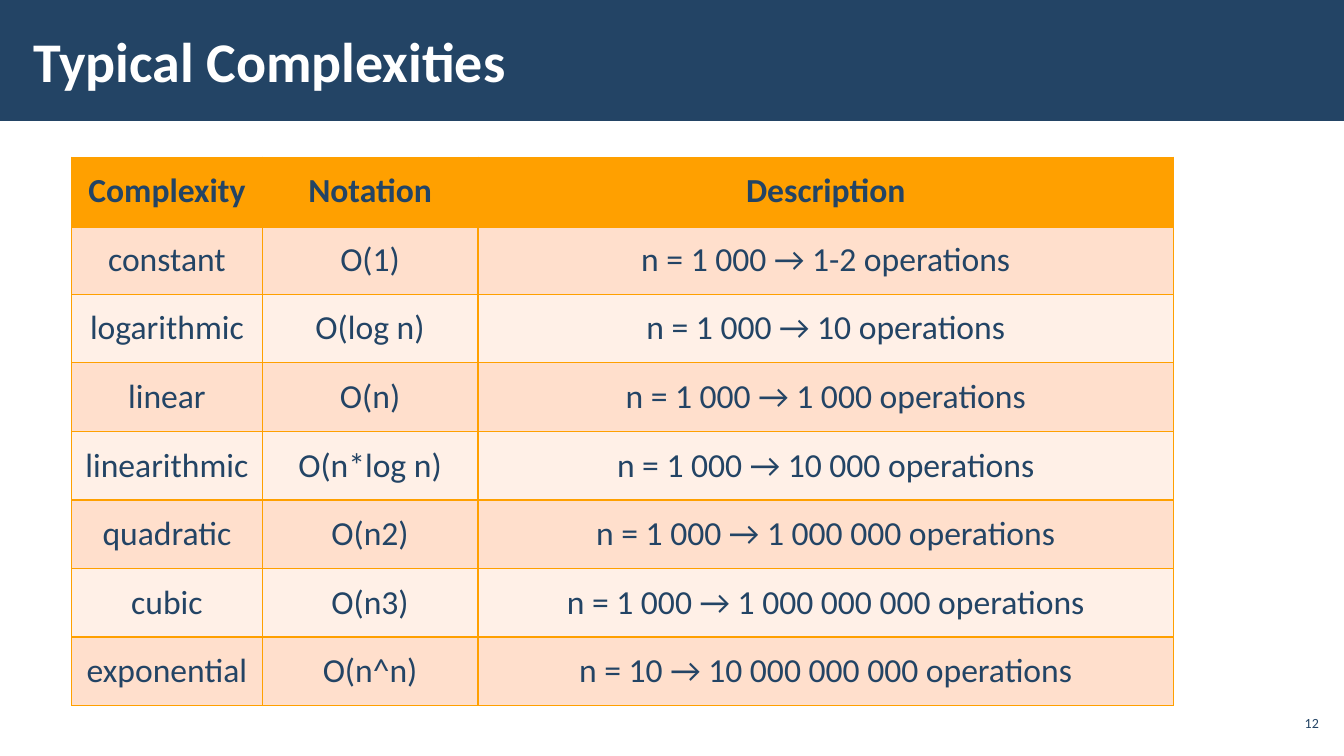
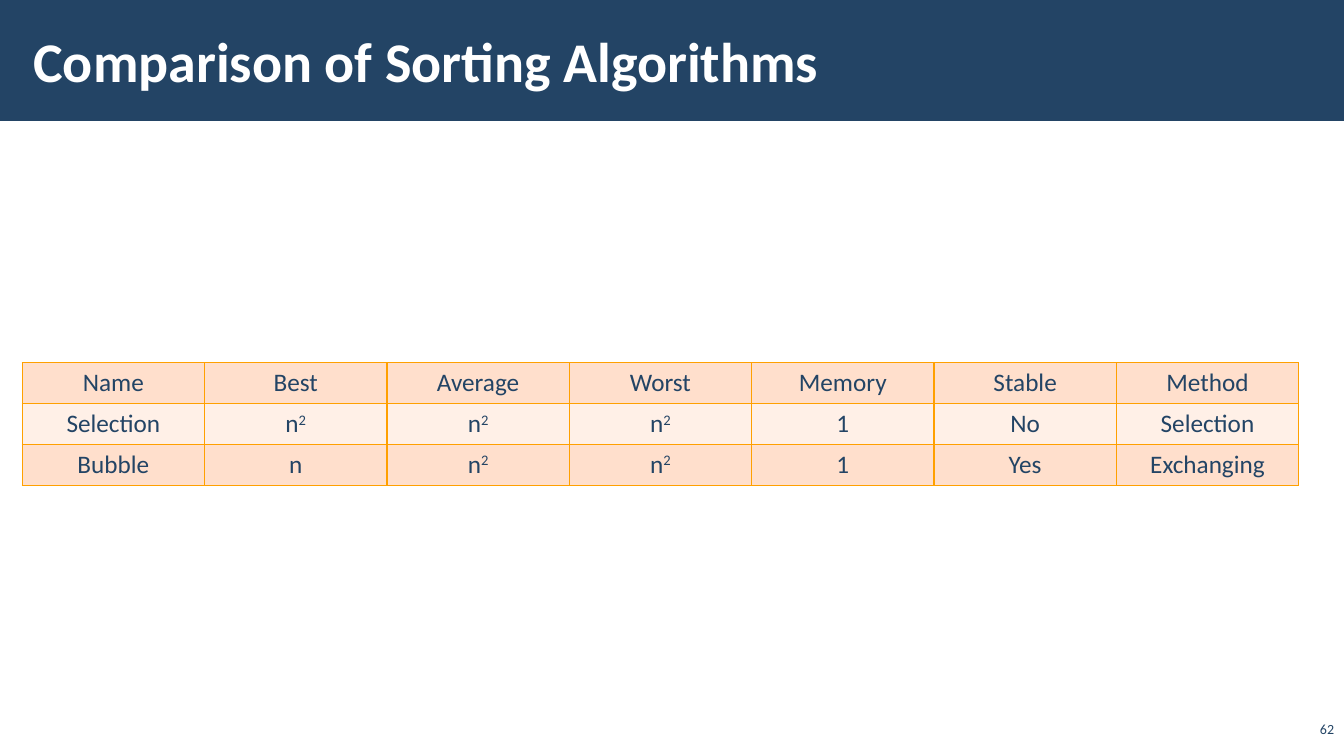
from lxml.etree import SubElement
from pptx import Presentation
from pptx.dml.color import RGBColor
from pptx.enum.shapes import MSO_SHAPE
from pptx.enum.text import MSO_ANCHOR, MSO_AUTO_SIZE, PP_ALIGN
from pptx.oxml.ns import qn
from pptx.util import Inches, Pt

WIDE, HIGH = Inches(13.33), Inches(7.5)
NAVY, WHITE, GOLD = "234465", "FFFFFF", "FFA000"
BANDS = ("FFDFCC", "FFF0E7")
SMALL = Inches(0.04)
TITLE = {"size": Pt(40), "bold": True}
PAGE = {"size": Pt(10)}
HEAD = {"size": Pt(24), "bold": True}
LARGE = {"size": Pt(24), "bold": False}
BODY = {"size": Pt(18), "bold": False}
COSTS = [
    ("Complexity", "Notation", "Description"),
    ("constant", "O(1)", "n = 1 000 → 1-2 operations"),
    ("logarithmic", "O(log n)", "n = 1 000 → 10 operations"),
    ("linear", "O(n)", "n = 1 000 → 1 000 operations"),
    ("linearithmic", "O(n*log n)", "n = 1 000 → 10 000 operations"),
    ("quadratic", "O(n2)", "n = 1 000 → 1 000 000 operations"),
    ("cubic", "O(n3)", "n = 1 000 → 1 000 000 000 operations"),
    ("exponential", "O(n^n)", "n = 10 → 10 000 000 000 operations"),
]
SORTS = [
    ("Name", "Best", "Average", "Worst", "Memory", "Stable", "Method"),
    ("Selection", "n²", "n²", "n²", "1", "No", "Selection"),
    ("Bubble", "n", "n²", "n²", "1", "Yes", "Exchanging"),
]


def tint(code):
    """Turn a hex string into a colour."""
    return RGBColor.from_string(code)


def span(left, top, width, height):
    """Turn percentages of the slide into a frame."""
    return (int(WIDE * left / 100), int(HIGH * top / 100),
            int(WIDE * width / 100), int(HIGH * height / 100))


def apply(item, form):
    """Set each attribute named in a dict."""
    for name, value in form.items():
        setattr(item, name, value)


def paint(item, code):
    """Give a shape or cell a solid fill."""
    item.fill.solid()
    item.fill.fore_color.rgb = tint(code)


def write(frame, text, form, code=NAVY, align=PP_ALIGN.CENTER):
    """Write one paragraph, raising a squared sign to a superscript."""
    para = frame.paragraphs[0]
    para.alignment = align
    base, mark, _ = text.partition("²")
    for part in (base, "2")[:1 + len(mark)]:
        run = para.add_run()
        run.text = part
        apply(run.font, {"name": "Calibri", **form})
        run.font.color.rgb = tint(code)
    if mark:
        run.font._element.set("baseline", "30000")


def edge(cell, base=1):
    """Draw gold borders, with a bottom line of its own width."""
    props = cell._tc.get_or_add_tcPr()
    for side, width in zip("LRTB", (1, 1, 1, base)):
        line = SubElement(props, qn("a:ln" + side), w=str(Pt(width)))
        fill = SubElement(line, qn("a:solidFill"))
        SubElement(fill, qn("a:srgbClr"), val=GOLD)


def style(deck):
    """Put the band and the title's place on the shared layout."""
    layout = deck.slide_layouts[5]
    apply(layout.placeholders[0], dict(
        zip(("left", "top", "width", "height"), span(1.58, 1.47, 79.74, 12.93))))
    return layout


def band(slide):
    """Draw the title band and move it to the slide's layout."""
    bar = slide.shapes.add_shape(MSO_SHAPE.RECTANGLE, *span(0, 0, 100, 16))
    bar.shadow.inherit = False
    bar.line.fill.background()
    paint(bar, NAVY)
    slide.slide_layout.shapes._spTree.insert(2, bar._element)


def start(deck, layout, title):
    """Add a slide with its title."""
    slide = deck.slides.add_slide(layout)
    frame = slide.shapes.title.text_frame
    apply(frame, {
        "margin_left": Inches(0.12), "margin_right": Inches(0.12),
        "margin_top": SMALL, "margin_bottom": SMALL, "word_wrap": True,
        "vertical_anchor": MSO_ANCHOR.MIDDLE, "auto_size": MSO_AUTO_SIZE.NONE})
    write(frame, title, TITLE, WHITE, PP_ALIGN.LEFT)
    return slide


def number(slide, text, place, form):
    """Add the page number."""
    frame = slide.shapes.add_textbox(*span(*place)).text_frame
    apply(frame, {"word_wrap": True, **form})
    write(frame, text, PAGE, align=PP_ALIGN.RIGHT)


def grid(slide, rows, spot, cols, step, form, anchor, head=None):
    """Add a banded table, with a gold header if a head format is given."""
    place = span(*spot, sum(cols), step * len(rows))
    table = slide.shapes.add_table(len(rows), len(cols), *place).table
    apply(table, {"first_row": bool(head), "horz_banding": False})
    for col, share in zip(table.columns, cols):
        col.width = int(WIDE * share / 100)
    for i, row in enumerate(rows):
        top = head and i == 0
        shade = GOLD if top else BANDS[(i - bool(head)) % 2]
        for cell, text in zip(table.rows[i].cells, row):
            cell.vertical_anchor = anchor
            edge(cell, 3 if top else 1)
            paint(cell, shade)
            write(cell.text_frame, text, head if top else form)


def main():
    """Build both slides and save them."""
    deck = Presentation()
    apply(deck, {"slide_width": WIDE, "slide_height": HIGH})
    layout = style(deck)

    slide = start(deck, layout, "Typical Complexities")
    band(slide)
    sides = ("left", "right", "top", "bottom")
    number(slide, "12", (94.9, 93.33, 3.53, 4.53), {
        "vertical_anchor": MSO_ANCHOR.MIDDLE,
        **{"margin_" + side: SMALL for side in sides}})
    grid(slide, COSTS, (5.33, 20.8), (14.18, 16.05, 51.76), 9.07,
         LARGE, MSO_ANCHOR.MIDDLE, HEAD)

    slide = start(deck, layout, "Comparison of Sorting Algorithms")
    number(slide, "62", (96.47, 95.2, 3.53, 2.93),
           {"vertical_anchor": MSO_ANCHOR.BOTTOM})
    grid(slide, SORTS, (1.65, 48), (13.57,) * 7, 5.4, BODY, MSO_ANCHOR.TOP)
    deck.save("out.pptx")


main()
